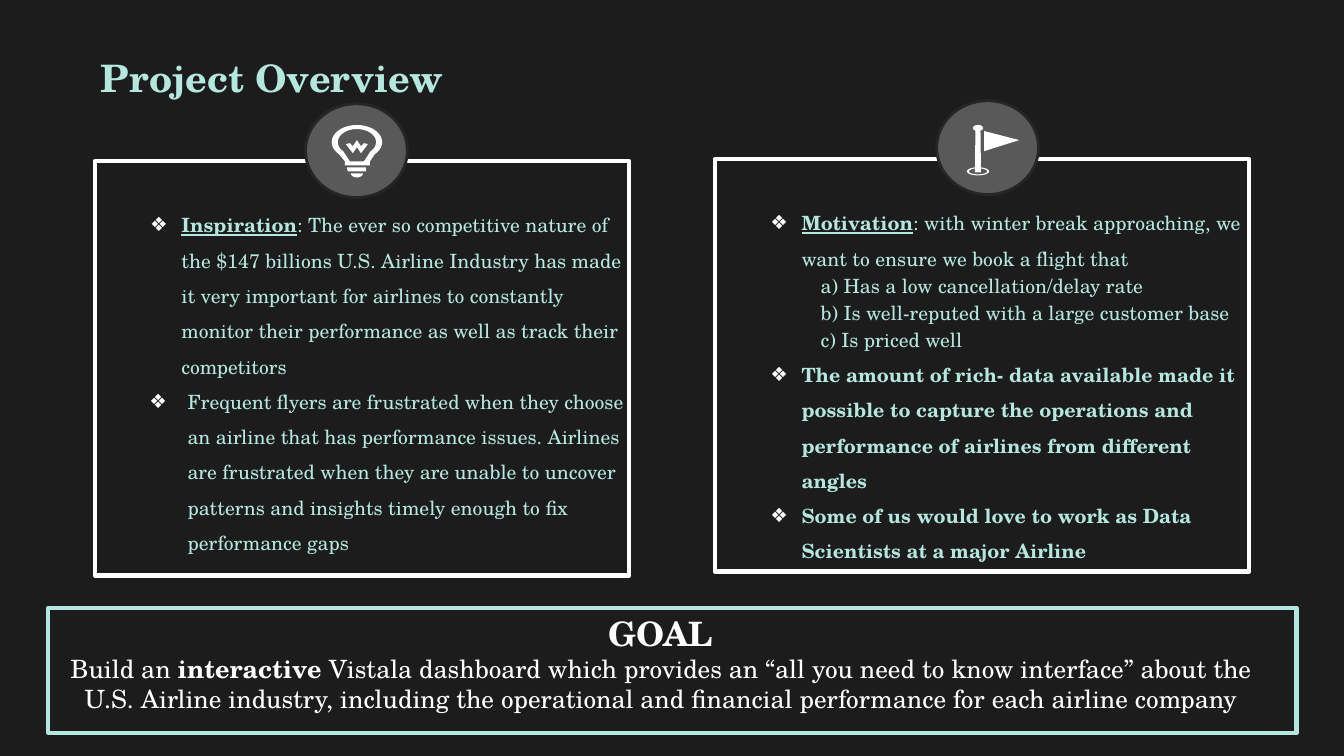
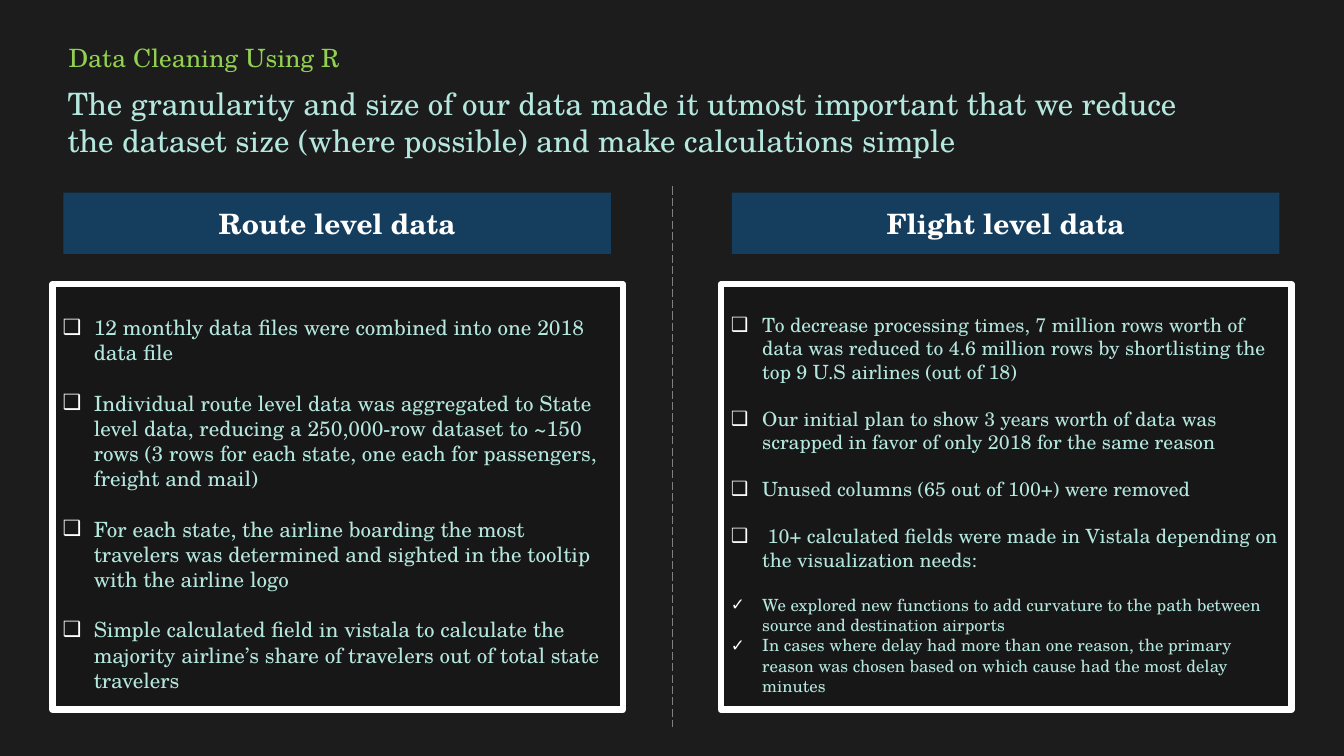
from dataclasses import dataclass
from math import cos, radians, sin

from lxml.etree import SubElement as Sub
from pptx import Presentation
from pptx.dml.color import RGBColor as RGB
from pptx.enum.dml import MSO_LINE as Dash
from pptx.enum.shapes import MSO_CONNECTOR as Link, MSO_SHAPE as Form
from pptx.enum.text import MSO_ANCHOR as Anchor, MSO_AUTO_SIZE as Fit, PP_ALIGN as Align
from pptx.oxml.ns import qn
from pptx.util import Inches, Pt


@dataclass(frozen=True)
class Theme:
    face: str = "TeX Gyre Schola"
    back: str = "1C1C1C"
    panel: str = "181717"
    mint: str = "B4E7DD"
    white: str = "FFFFFF"
    lime: str = "92D050"
    navy: str = "153D5E"
    disc: str = "595959"
    rim: str = "262626"
    dash: str = "808080"
    title: int = 27
    goal: int = 24
    lead: int = 22
    band: int = 20
    large: int = 18
    body: int = 15
    text: int = 14
    small: int = 12


T = Theme()


@dataclass
class Para:
    runs: object
    size: int = T.text
    mark: str = ""
    left: float = 0
    hang: float = 0
    space: float = 1
    gap: float = 0
    tint: str = T.mint
    align: object = Align.LEFT


def tone(code):
    return RGB.from_string(code)


def apply(item, form):
    for key, value in form.items():
        setattr(item, key, value)


def bullet(para, mark):
    props = para._p.get_or_add_pPr()
    if not mark:
        Sub(props, qn("a:buNone"))
        return props
    color = Sub(props, qn("a:buClr"))
    Sub(color, qn("a:srgbClr"), val=T.white)
    Sub(props, qn("a:buChar"), char=mark)
    return props


def write(frame, paras, pads, anchor=Anchor.TOP):
    left, top, right, base = map(Inches, pads)
    apply(frame, dict(word_wrap=True, auto_size=Fit.NONE, vertical_anchor=anchor,
                      margin_left=left, margin_top=top, margin_right=right, margin_bottom=base))
    for n, item in enumerate(paras):
        para = frame.add_paragraph() if n else frame.paragraphs[0]
        props = bullet(para, item.mark)
        props.set("marL", str(Inches(item.left)))
        props.set("indent", str(Inches(item.hang)))
        apply(para, dict(alignment=item.align, line_spacing=float(item.space),
                         space_before=Pt(item.gap), space_after=Pt(0)))
        runs = [(item.runs, {})] if isinstance(item.runs, str) else item.runs
        for words, form in runs:
            run = para.add_run()
            run.text = words
            apply(run.font, dict(name=T.face, size=Pt(item.size), bold=False) | form)
            run.font.color.rgb = tone(item.tint)


def place(shape, spot):
    apply(shape, dict(zip(("left", "top", "width", "height"), map(Inches, spot))))


def paint(shape, fill=None, edge=None, width=0):
    shape.shadow.inherit = False
    if fill:
        shape.fill.solid()
        shape.fill.fore_color.rgb = tone(fill)
    else:
        shape.fill.background()
    if edge:
        shape.line.color.rgb = tone(edge)
        shape.line.width = Pt(width)
    else:
        shape.line.fill.background()


def block(slide, form, spot, **look):
    shape = slide.shapes.add_shape(form, *map(Inches, spot))
    paint(shape, **look)
    return shape


def head(slide, spot, words, size, bold):
    place(slide.shapes.title, spot)
    write(slide.shapes.title.text_frame, [Para([(words, {"bold": bold})], size),],
          (0.05, 0.02, 0.05, 0.02))


def panel(slide, slot, spot, paras, pads, **look):
    shape = slide.placeholders[slot]
    place(shape, spot)
    paint(shape, edge=T.white, **look)
    write(shape.text_frame, paras, pads)


def arc(x, y, wide, high, start=0, stop=360):
    turns = [radians(start + (stop - start) * n / 40) for n in range(41)]
    return [(x + wide * cos(t), y + high * sin(t)) for t in turns]


def icon(slide, *loops):
    pen = None
    for loop in loops:
        first, *rest = [(Inches(x), Inches(y)) for x, y in loop]
        if pen is None:
            pen = slide.shapes.build_freeform(*first)
        else:
            pen.move_to(*first)
        pen.add_line_segments(rest, close=True)
    paint(pen.convert_to_shape(), fill=T.white)


def bulb(slide):
    glass = arc(3.54, 1.41, 0.25, 0.17, 135, 405)
    glass += [(3.67, 1.6), (3.67, 1.64), (3.42, 1.64), (3.42, 1.6)]
    hole = arc(3.54, 1.41, 0.19, 0.13, 135, 405) + [(3.61, 1.6), (3.47, 1.6)]
    wire = [(3.43, 1.43), (3.47, 1.42), (3.5, 1.45), (3.54, 1.39), (3.58, 1.45),
            (3.61, 1.42), (3.65, 1.43), (3.58, 1.52), (3.54, 1.46), (3.5, 1.52)]
    cap = [(3.44, 1.66), (3.63, 1.66), (3.63, 1.7), (3.45, 1.7)]
    icon(slide, glass, hole, wire, cap, arc(3.54, 1.72, 0.06, 0.04, 0, 180))


def flag(slide):
    mast = arc(9.7, 1.27, 0.05, 0.03, 120, 420) + [(9.73, 1.71), (9.67, 1.71)]
    cloth = [(9.76, 1.3), (10.11, 1.39), (9.76, 1.5)]
    icon(slide, arc(9.7, 1.7, 0.11, 0.04), arc(9.7, 1.7, 0.09, 0.03))
    icon(slide, mast, cloth)


def point(runs, left=0.81, hang=-0.31):
    return Para(runs, mark="❖", left=left, hang=hang, space=1.5)


def topic(name, words):
    return point([(name, dict(bold=True, underline=True)), (words, {})])


def overview(slide):
    bold = {"bold": True}
    head(slide, (0.95, 0.52, 9.45, 0.5), "Project Overview", T.title, True)
    left = [
        topic("Inspiration", ": The ever so competitive nature of the $147 billions U.S. Airline "
              "Industry has made it very important for airlines to constantly monitor their "
              "performance as well as track their competitors"),
        point("Frequent flyers are frustrated when they choose an airline that has performance "
              "issues. Airlines are frustrated when they are unable to uncover patterns and "
              "insights timely enough to fix performance gaps", 0.87, -0.38),
    ]
    needs = ("a) Has a low cancellation/delay rate",
             "b) Is well-reputed with a large customer base", "c) Is priced well")
    right = [
        topic("Motivation", ": with winter break approaching, we want to ensure we book a "
              "flight that"),
        *[Para(need, left=1, space=1.15) for need in needs],
        point([("The amount of rich- data available made it possible to capture the operations "
                "and performance of airlines from different angles", bold)]),
        point([("Some of us would love to work as Data Scientists at a major Airline", bold)]),
    ]
    sides = ((1, 0.94, 1.6, 4.11, left, 3.03, 1.03, bulb),
             (2, 7.09, 1.58, 4.09, right, 9.29, 1, flag))
    for slot, x, y, high, paras, across, down, draw in sides:
        panel(slide, slot, (x, y, 5.3, high), paras, (0.05, 0.4, 0.05, 0.05), width=3)
        block(slide, Form.FLOWCHART_CONNECTOR, (across, down, 1.01, 0.93),
              fill=T.disc, edge=T.rim, width=2)
        draw(slide)
    goal = block(slide, Form.RECTANGLE, (0.48, 6.03, 12.38, 1.24), edge=T.mint, width=3)
    look = dict(tint=T.white, align=Align.CENTER)
    write(goal.text_frame, [
        Para([("GOAL", bold)], T.goal, **look),
        Para([("Build an ", {}), ("interactive ", bold),
              ("Vistala dashboard which provides an “all you need to know interface” about the "
               "U.S. Airline industry, including the operational and financial performance for "
               "each airline company", {})], T.large, **look),
    ], (0.13, 0.05, 0.36, 0.05))


def checks(items, size, mark="❑", gap=None):
    step = 1.2 * size if gap is None else gap
    return [Para(words, size, mark, 0.31, -0.31, gap=step if n else 0)
            for n, words in enumerate(items)]


def cleaning(slide):
    head(slide, (0.62, 0.82, 11.3, 0.88),
         "The granularity and size of our data made it utmost important that we reduce "
         "the dataset size (where possible) and make calculations simple", T.lead, False)
    note = slide.shapes.add_textbox(*map(Inches, (0.63, 0.4, 9.45, 0.5)))
    write(note.text_frame, [Para("Data Cleaning Using R", T.large, tint=T.lime)],
          (0.05, 0.02, 0.05, 0.02))
    route = checks([
        "12 monthly data files were combined into one 2018 data file",
        "Individual route level data was aggregated to State level data, reducing a 250,000-row "
        "dataset to ~150 rows (3 rows for each state, one each for passengers, freight and mail)",
        "For each state, the airline boarding the most travelers was determined and sighted in "
        "the tooltip with the airline logo",
        "Simple calculated field in vistala to calculate the majority airline’s share of "
        "travelers out of total state travelers",
    ], T.body)
    flight = checks([
        "To decrease processing times, 7 million rows worth of data was reduced to 4.6 million "
        "rows by shortlisting the top 9 U.S airlines (out of 18)",
        "Our initial plan to show 3 years worth of data was scrapped in favor of only 2018 for "
        "the same reason",
        "Unused columns (65 out of 100+) were removed",
        " 10+ calculated fields were made in Vistala depending on the visualization needs:",
    ], T.text)
    extra = checks([
        "We explored new functions to add curvature to the path between source and destination "
        "airports",
        "In cases where delay had more than one reason, the primary reason was chosen based on "
        "which cause had the most delay minutes",
    ], T.small, "✓", 0)
    extra[0].gap = 1.2 * T.text
    sides = ((1, 0.52, "Route level data", route, 0.3),
             (2, 7.15, "Flight level data", flight + extra, 0.28))
    for slot, x, name, paras, top in sides:
        panel(slide, slot, (x, 2.82, 5.66, 4.22), paras, (0.1, top, 0.1, 0.05),
              fill=T.panel, width=4.5)
        band = block(slide, Form.RECTANGLE, (x + 0.11, 1.91, 5.43, 0.61), fill=T.navy)
        write(band.text_frame, [Para([(name, {"bold": True})], T.band, tint=T.white,
                                     align=Align.CENTER)],
              (0.13, 0.07, 0.13, 0.07), Anchor.MIDDLE)
    rule = slide.shapes.add_connector(Link.STRAIGHT, *map(Inches, (6.67, 1.85, 6.67, 7.21)))
    rule.line.color.rgb = tone(T.dash)
    apply(rule.line, dict(width=Pt(0.75), dash_style=Dash.LONG_DASH))
    Sub(rule._element.spPr, qn("a:effectLst"))


def main():
    deck = Presentation()
    apply(deck, dict(slide_width=Inches(13.33), slide_height=Inches(7.5)))
    fill = deck.slide_master.background.fill
    fill.solid()
    fill.fore_color.rgb = tone(T.back)
    for build in (overview, cleaning):
        build(deck.slides.add_slide(deck.slide_layouts[3]))
    deck.save("out.pptx")


if __name__ == "__main__":
    main()
